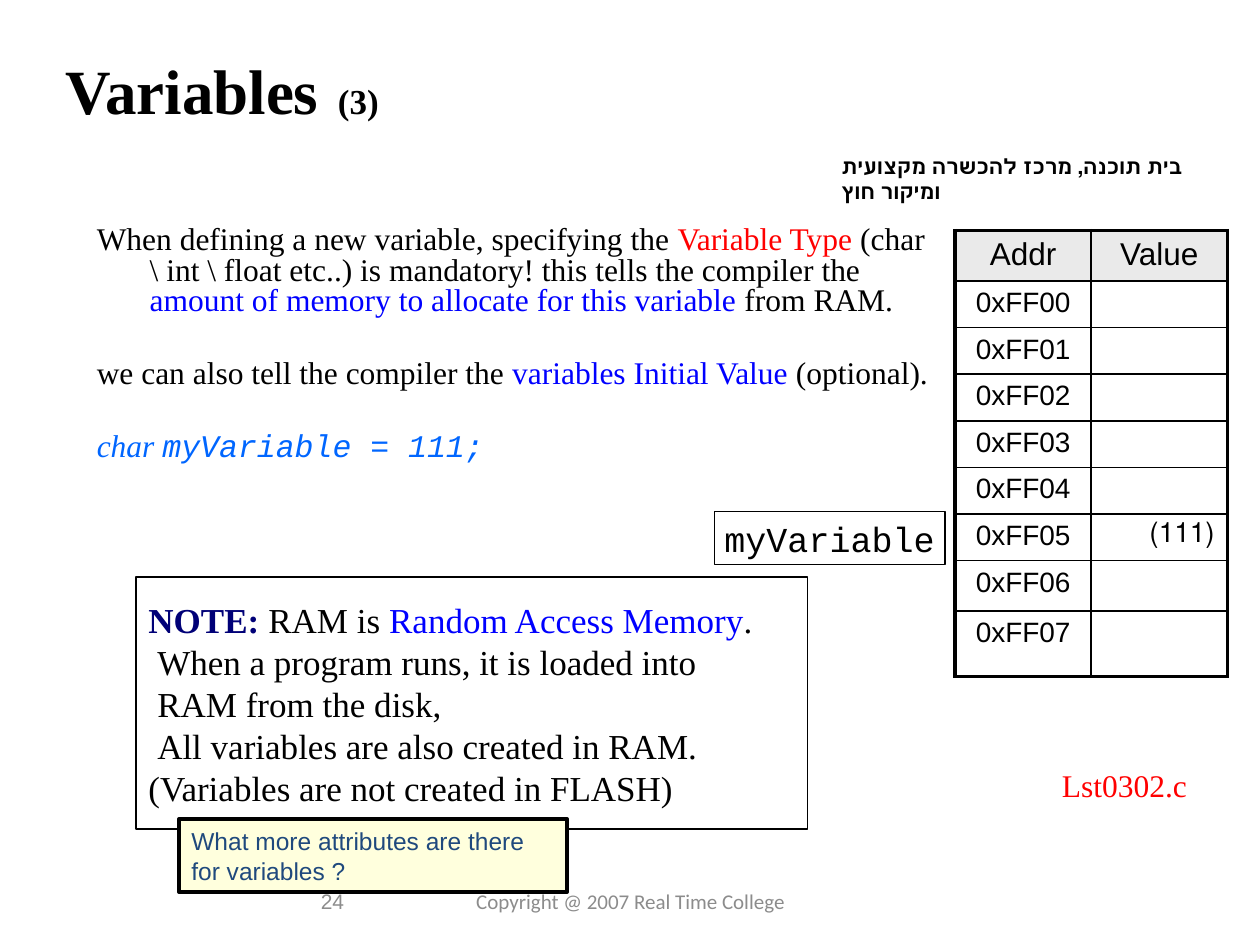
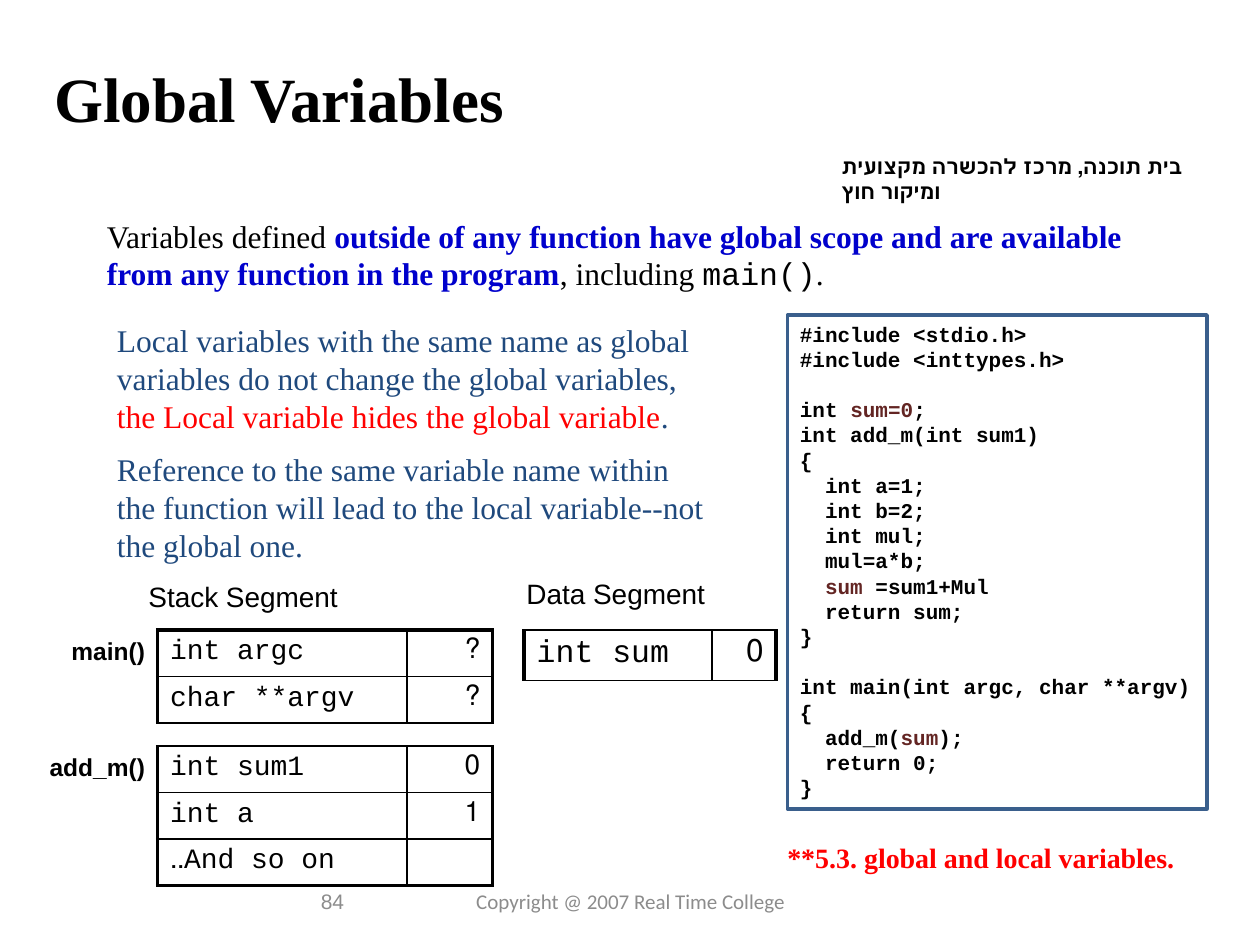
from lxml.etree import SubElement
from pptx import Presentation
from pptx.dml.color import RGBColor
from pptx.enum.shapes import MSO_SHAPE
from pptx.enum.text import MSO_ANCHOR, MSO_AUTO_SIZE, PP_ALIGN
from pptx.oxml.ns import qn
from pptx.util import Inches, Pt

BLACK = RGBColor(0x00, 0x00, 0x00)
WHITE = RGBColor(0xFF, 0xFF, 0xFF)
RED = RGBColor(0xFF, 0x00, 0x00)
BLUE = RGBColor(0x00, 0x00, 0xFF)
SCOPE_BLUE = RGBColor(0x00, 0x00, 0xCC)
CODE_BLUE = RGBColor(0x00, 0x66, 0xFF)
NAVY = RGBColor(0x00, 0x00, 0x77)
SLATE = RGBColor(0x1F, 0x49, 0x7D)
FRAME_BLUE = RGBColor(0x3A, 0x5F, 0x8C)
BROWN = RGBColor(0x63, 0x25, 0x23)
FOOTER_GREY = RGBColor(0x8C, 0x8C, 0x8C)
HEADER_GREY = RGBColor(0xEA, 0xEA, 0xEA)
CREAM = RGBColor(0xFF, 0xFF, 0xDD)

SERIF, SANS, MONO, FOOTER_FONT = "Times New Roman", "Arial", "Courier New", "Calibri"
LEFT, CENTER, RIGHT = PP_ALIGN.LEFT, PP_ALIGN.CENTER, PP_ALIGN.RIGHT
THICK, THIN = 2.25, 1


def inches(box):
    """Turn a box given in inches into lengths."""
    return [Inches(length) for length in box]


def style(font, name=None, size=None, color=None, bold=None, italic=None):
    """Set the font properties that are given."""
    if name:
        font.name = name
    if size:
        font.size = Pt(size)
    if color is not None:
        font.color.rgb = color
    if bold is not None:
        font.bold = bold
    if italic is not None:
        font.italic = italic


def write(frame, lines, align=LEFT, rtl=False, gaps=None, **font):
    """Fill a frame with lines, each a string or a list of plain and styled runs."""
    for index, line in enumerate(lines):
        paragraph = frame.add_paragraph() if index else frame.paragraphs[0]
        paragraph.alignment = align
        if rtl:
            paragraph._p.get_or_add_pPr().set("rtl", "1")
        if gaps and index in gaps:
            paragraph.space_before = Pt(gaps[index])
        style(paragraph.font, **{"color": BLACK, **font})
        for part in [line] if isinstance(line, str) else line:
            words, changes = (part, {}) if isinstance(part, str) else part
            run = paragraph.add_run()
            run.text = words
            style(run.font, **changes)


def add_text(slide, box, lines, anchor=MSO_ANCHOR.TOP, **look):
    """Add a wrapping text box."""
    frame = slide.shapes.add_textbox(*inches(box)).text_frame
    frame.word_wrap = True
    frame.vertical_anchor = anchor
    write(frame, lines, **look)
    return frame


def add_panel(slide, box, lines=(), fill=None, line=None, width=0.75,
              anchor=MSO_ANCHOR.MIDDLE, wrap=True, **look):
    """Add a rectangle with optional fill, outline and text."""
    panel = slide.shapes.add_shape(MSO_SHAPE.RECTANGLE, *inches(box))
    panel.shadow.inherit = False
    if fill is None:
        panel.fill.background()
    else:
        panel.fill.solid()
        panel.fill.fore_color.rgb = fill
    if line is None:
        panel.line.fill.background()
    else:
        panel.line.color.rgb = line
        panel.line.width = Pt(width)
    frame = panel.text_frame
    frame.word_wrap = wrap
    frame.vertical_anchor = anchor
    write(frame, lines, **look)
    return frame


def set_borders(cell, widths):
    """Draw the left, right, top and bottom borders of a cell."""
    properties = cell._tc.get_or_add_tcPr()
    for index, (side, width) in enumerate(zip("LRTB", widths)):
        border = properties.makeelement(qn(f"a:ln{side}"), {"w": str(Pt(width))})
        solid = SubElement(border, qn("a:solidFill"))
        SubElement(solid, qn("a:srgbClr"), val=str(BLACK))
        properties.insert(index, border)


def add_memory(slide, left, top, columns, heights, rows, aligns, thick="LR",
               header=False, size=16, name=MONO):
    """Add a memory table whose outer sides named in thick are heavy."""
    box = inches((left, top, sum(columns), sum(heights)))
    table = slide.shapes.add_table(len(rows), len(columns), *box).table
    table.first_row = table.horz_banding = False
    for column, width in zip(table.columns, columns):
        column.width = Inches(width)
    for r, (row, height) in enumerate(zip(rows, heights)):
        table.rows[r].height = Inches(height)
        for c, words in enumerate(row):
            cell = table.cell(r, c)
            is_header = header and r == 0
            if is_header:
                cell.fill.solid()
                cell.fill.fore_color.rgb = HEADER_GREY
            else:
                cell.fill.background()
            if words:
                write(cell.text_frame, [words], rtl=True, name=name,
                      align=CENTER if is_header else aligns[c],
                      size=18 if is_header else size)
            else:
                cell.margin_top = cell.margin_bottom = 0
                style(cell.text_frame.paragraphs[0].font, size=size)
            outer = {"L": c == 0, "R": c == len(columns) - 1,
                     "T": r == 0, "B": r == len(rows) - 1}
            set_borders(cell, [THICK if outer[side] and side in thick else THIN
                               for side in "LRTB"])


def start_slide(deck, title, title_box, number):
    """Add a slide with its title, school line and footer."""
    slide = deck.slides.add_slide(deck.slide_layouts[5])
    heading = slide.shapes.title
    heading.left, heading.top, heading.width, heading.height = inches(title_box)
    frame = heading.text_frame
    frame.auto_size = MSO_AUTO_SIZE.NONE
    frame.word_wrap = True
    frame.vertical_anchor = MSO_ANCHOR.TOP
    write(frame, [title], name=SERIF, size=36, bold=True)
    add_text(slide, (6.58, 1.17, 3.07, 0.3), ["בית תוכנה, מרכז להכשרה מקצועית ומיקור חוץ"],
             rtl=True, name=SANS, size=12, bold=True)
    add_text(slide, (3.42, 6.95, 3.17, 0.4), ["Copyright @ 2007 Real Time College"],
             MSO_ANCHOR.MIDDLE, align=CENTER, name=FOOTER_FONT, size=12, color=FOOTER_GREY)
    add_text(slide, (0.5, 6.95, 2.33, 0.4), [number], MSO_ANCHOR.MIDDLE,
             align=RIGHT, name=SANS, size=12, color=FOOTER_GREY)
    return slide


def add_definition(slide, box):
    """Explain variable type and initial value with hanging indents."""
    frame = add_text(slide, box, [
        ["When defining a new variable, specifying the ", ("Variable Type", {"color": RED}),
         " (char \\ int \\ float etc..) is mandatory! this tells the compiler the ",
         ("amount of memory to allocate for this variable", {"color": BLUE}), " from RAM."],
        ["we can also tell the compiler the ", ("variables Initial Value", {"color": BLUE}),
         " (optional)."],
        [("char ", {"color": CODE_BLUE, "italic": True}),
         ("myVariable = 111;", {"color": CODE_BLUE, "italic": True, "name": MONO})],
    ], gaps={1: 24.5, 2: 24.5}, name=SERIF, size=18)
    for paragraph in frame.paragraphs:
        paragraph.line_spacing = 0.8
        indents = paragraph._p.get_or_add_pPr()
        indents.set("marL", str(Inches(0.42)))
        indents.set("indent", str(Inches(-0.42)))


def add_ram_note(slide, box):
    """Add the framed note about RAM."""
    frame = add_panel(slide, box, [
        [("NOTE: ", {"color": NAVY, "bold": True}), "RAM is ",
         ("Random Access Memory", {"color": BLUE}), "."],
        "When a program runs, it is loaded into",
        "RAM from the disk,",
        "All variables are also created in RAM.",
        "(Variables are not created in FLASH)",
    ], line=BLACK, name=SERIF, size=20)
    for paragraph in frame.paragraphs[1:4]:
        paragraph._p.get_or_add_pPr().set("marL", str(Inches(0.07)))


def add_listing(slide, left, top):
    """Add the framed program listing."""
    add_panel(slide, (left, top, 3.5, 3.94), [
        "#include <stdio.h>",
        "#include <inttypes.h>",
        ["int ", ("sum=0", {"color": BROWN}), ";"],
        "int add_m(int sum1)",
        "{",
        "  int a=1;",
        "  int b=2;",
        "  int mul;",
        "  mul=a*b;",
        ["  ", ("sum", {"color": BROWN}), " =sum1+Mul"],
        "  return sum;",
        "}",
        "int main(int argc, char **argv)",
        "{",
        ["  add_m(", ("sum", {"color": BROWN}), ");"],
        "  return 0;",
        "}",
    ], fill=WHITE, anchor=MSO_ANCHOR.TOP, gaps={2: 14.4, 12: 14.4},
        name=MONO, size=12, bold=True)
    add_panel(slide, (left, top, 3.33, 3.92), line=FRAME_BLUE, width=2)


def add_segments(slide, left, top):
    """Add the stack frames and the data segment with their labels."""
    stack_columns, row_height, second_frame = (1.98, 0.68), 0.37, top + 0.92
    for x, y, label in ((left - 0.17, top - 0.45, "Stack Segment"),
                        (left + 2.83, top - 0.47, "Data Segment")):
        add_text(slide, (x, y, 1.75, 0.37), [label], name=SANS, size=16)
    frames = (
        (top, "main()", "LTR", [("int argc", "?"), ("char **argv", "?")]),
        (second_frame, "add_m()", "LRB",
         [("int sum1", "0"), ("int a", "1"), ("And so on..", "")]),
    )
    for y, function, thick, rows in frames:
        add_text(slide, (left - 1, y, 1, 0.34), [function], align=RIGHT,
                 name=SANS, size=14, bold=True)
        add_memory(slide, left, y, stack_columns, [row_height] * len(rows), rows,
                   (LEFT, RIGHT), thick)
    add_memory(slide, left + 2.91, top, (1.49, 0.51), [0.4], [("int sum", "0")],
               (LEFT, RIGHT), size=18)


def build_variables(deck):
    """Build the slide on variable types and addresses."""
    title = ["Variables", (" ", {"size": 44}), ("(3)", {"size": 20})]
    slide = start_slide(deck, title, (0.42, 0.25, 2.8, 0.83), "24")
    add_definition(slide, (0.67, 1.75, 6.83, 2.25))
    add_ram_note(slide, (1.08, 4.58, 5.33, 2))
    add_panel(slide, (5.67, 4.06, 1.83, 0.42), ["myVariable"], fill=WHITE, line=BLACK,
              wrap=False, align=CENTER, name=MONO, size=20)
    add_panel(slide, (1.42, 6.5, 3.08, 0.58),
              ["What more attributes are there for variables ?"], fill=CREAM, line=BLACK,
              width=THICK, name=SANS, size=14, color=SLATE)
    cells = [(f"0xFF{address:02X}", "(111)" if address == 5 else "") for address in range(8)]
    add_memory(slide, 7.58, 1.83, (1.08, 1.08), [0.4] + [0.37] * 6 + [0.4, 0.52],
               [("Addr", "Value")] + cells, (CENTER, RIGHT), "LTRB", header=True, name=SANS)
    add_text(slide, (8.33, 6.03, 1.25, 0.4), ["Lst0302.c"], name=SERIF, size=18, color=RED)


def build_globals(deck):
    """Build the slide on global variables."""
    slide = start_slide(deck, "Global Variables", (0.33, 0.42, 3.83, 0.7), "84")
    add_text(slide, (0.75, 1.67, 8.75, 0.7), [[
        "Variables defined ",
        ("outside of any function have global scope and are available from any function "
         "in the program", {"color": SCOPE_BLUE, "bold": True}),
        ", including ", ("main()", {"name": MONO}), "."]], name=SERIF, size=18)
    add_text(slide, (0.83, 2.5, 4.9, 2.05), [
        ["Local variables with the same name as global variables do not change the global "
         "variables, ", ("the Local variable hides the global variable", {"color": RED}), "."],
        "Reference to the same variable name within the function will lead to the local "
        "variable--not the global one.",
    ], gaps={1: 9}, name=SERIF, size=18, color=SLATE)
    add_listing(slide, 6.25, 2.5)
    add_segments(slide, 1.25, 5)
    add_text(slide, (6.15, 6.62, 3.85, 0.4), ["**5.3. global and local variables."],
             name=SERIF, size=16, color=RED, bold=True)


def main():
    """Build and save the deck."""
    deck = Presentation()
    deck.slide_width, deck.slide_height = Inches(10), Inches(7.5)
    build_variables(deck)
    build_globals(deck)
    deck.save("out.pptx")


if __name__ == "__main__":
    main()
